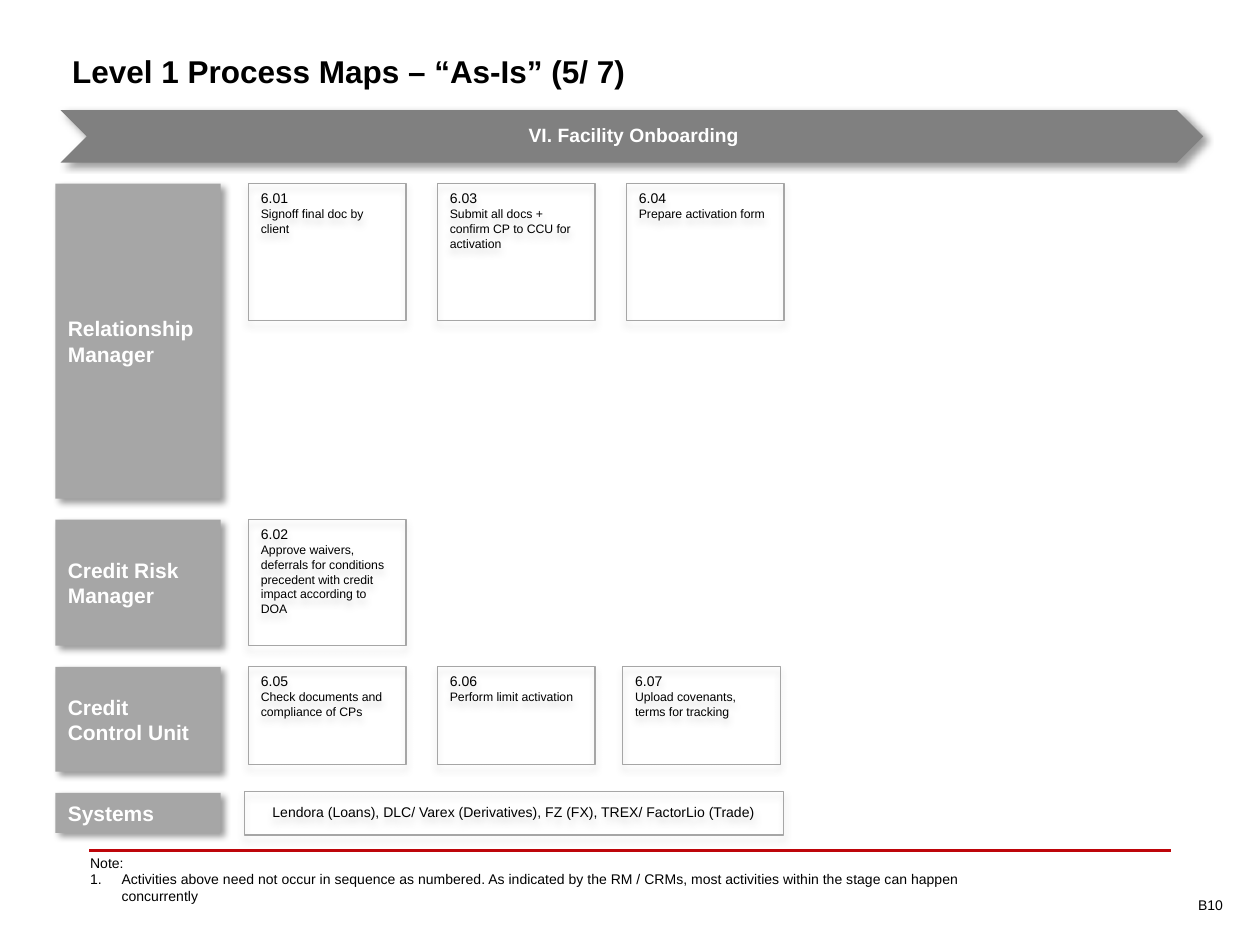
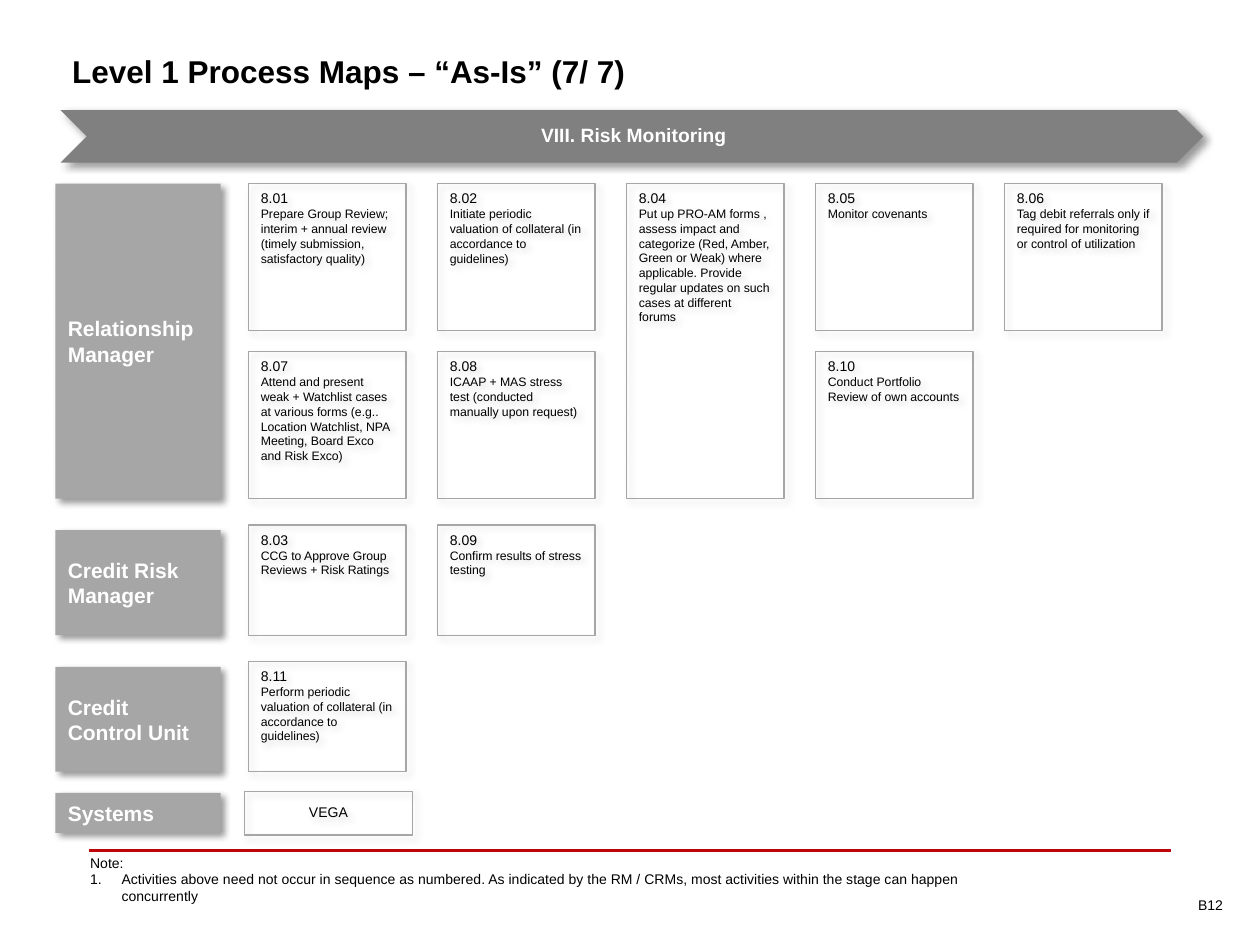
from lxml.etree import SubElement
from pptx import Presentation
from pptx.dml.color import RGBColor
from pptx.enum.shapes import MSO_CONNECTOR, MSO_SHAPE
from pptx.enum.text import MSO_ANCHOR, MSO_AUTO_SIZE, PP_ALIGN
from pptx.oxml.ns import qn
from pptx.util import Pt

BLACK = RGBColor(0, 0, 0)
WHITE = RGBColor(255, 255, 255)
RED = RGBColor(0xBE, 0x05, 0x0A)
BAND_GREY = RGBColor(0x80, 0x80, 0x80)
LANE_GREY = RGBColor(0xA6, 0xA6, 0xA6)
FONT = "Arial"

# Lane geometry in points
LANE_LEFT, LABEL_WIDTH = 31.7, 94.5
CARD_LEFT, CARD_WIDTH, CARD_PITCH, ROW_GAP = 142, 90, 108, 12
SYSTEMS_BOX = (139.7, 452.2)
SYSTEMS_HEIGHT = 25

NOTE = ("Activities above need not occur in sequence as numbered. As indicated by the RM / CRMs, "
        "most activities within the stage can happen concurrently")

# Lane: label, label top and height, card top and height, cards.
# Card: column, row, rows spanned, number, activity.
ONBOARDING_LANES = [
    ("Relationship Manager", 105, 180, 105, 78, [
        (0, 0, 1, "6.01", "Signoff final doc by client"),
        (1, 0, 1, "6.03", "Submit all docs + confirm CP to CCU for activation"),
        (2, 0, 1, "6.04", "Prepare activation form")]),
    ("Credit Risk Manager", 297, 72, 297, 72, [
        (0, 0, 1, "6.02", "Approve waivers, deferrals for conditions precedent with credit "
                          "impact according to DOA")]),
    ("Credit Control Unit", 381, 60, 381, 56, [
        (0, 0, 1, "6.05", "Check documents and compliance of CPs"),
        (1, 0, 1, "6.06", "Perform limit activation"),
        (1.98, 0, 1, "6.07", "Upload covenants, terms for tracking")]),
]
MONITORING_LANES = [
    ("Relationship Manager", 105, 180, 105, 84, [
        (0, 0, 1, "8.01", "Prepare Group Review; interim + annual review (timely submission, "
                          "satisfactory quality)"),
        (1, 0, 1, "8.02", "Initiate periodic valuation of collateral (in accordance to guidelines)"),
        (2, 0, 2, "8.04", "Put up PRO-AM forms , assess impact and categorize (Red, Amber, Green or "
                          "Weak) where applicable. Provide regular updates on such cases at "
                          "different forums"),
        (3, 0, 1, "8.05", "Monitor covenants"),
        (4, 0, 1, "8.06", "Tag debit referrals only if required for monitoring or control of "
                          "utilization"),
        (0, 1, 1, "8.07", "Attend and present weak + Watchlist cases at various forms (e.g.. "
                          "Location Watchlist, NPA Meeting, Board Exco and Risk Exco)"),
        (1, 1, 1, "8.08", "ICAAP + MAS stress test (conducted manually upon request)"),
        (3, 1, 1, "8.10", "Conduct Portfolio Review of own accounts")]),
    ("Credit Risk Manager", 303, 60, 300, 63, [
        (0, 0, 1, "8.03", "CCG to Approve Group Reviews + Risk Ratings"),
        (1, 0, 1, "8.09", "Confirm results of stress testing")]),
    ("Credit Control Unit", 381, 60, 378, 63, [
        (0, 0, 1, "8.11", "Perform periodic valuation of collateral (in accordance to guidelines)")]),
]


def write(tf, text, size=8, color=BLACK, bold=False, align=PP_ALIGN.LEFT, spacing=None,
          numbered=False):
    """Fill the empty first paragraph of a frame, or add one after it."""
    p = tf.paragraphs[0] if not tf.text else tf.add_paragraph()
    p.alignment = align
    if spacing:
        p.line_spacing = spacing
    if numbered:
        pPr = p._p.get_or_add_pPr()
        pPr.set("marL", str(Pt(18)))
        pPr.set("indent", str(-Pt(18)))
        SubElement(pPr, qn("a:buFont"), typeface="+mj-lt")
        SubElement(pPr, qn("a:buAutoNum"), type="arabicPeriod")
    r = p.add_run()
    r.text = text
    r.font.name, r.font.size, r.font.bold = FONT, Pt(size), bold
    r.font.color.rgb = color


def set_frame(tf, anchor=MSO_ANCHOR.TOP, insets=(7.2, 3.6, 7.2, 3.6)):
    tf.word_wrap = True
    tf.vertical_anchor = anchor
    tf.margin_left, tf.margin_top, tf.margin_right, tf.margin_bottom = map(Pt, insets)
    return tf


def add_text_box(slide, box, **frame):
    return set_frame(slide.shapes.add_textbox(*map(Pt, box)).text_frame, **frame)


def add_shadowed(slide, kind, box, shadow, angle=45, fill=None, line=None):
    s = slide.shapes.add_shape(kind, *map(Pt, box))
    if fill is None:
        s.fill.background()
    else:
        s.fill.solid()
        s.fill.fore_color.rgb = fill
    if line is None:
        s.line.fill.background()
    else:
        s.line.color.rgb = line
        s.line.width = Pt(0.75)
    s.shadow.inherit = False
    effects = s.element.spPr.find(qn("a:effectLst"))
    outer = SubElement(effects, qn("a:outerShdw"), blurRad=str(Pt(4)), dist=str(Pt(3)),
                       dir=str(angle * 60000), algn="tl", rotWithShape="0")
    color = SubElement(outer, qn("a:srgbClr"), val=str(shadow))
    SubElement(color, qn("a:alpha"), val="40000")
    return s


def add_outlined(slide, box, angle, **frame):
    s = add_shadowed(slide, MSO_SHAPE.RECTANGLE, box, LANE_GREY, angle, line=LANE_GREY)
    return set_frame(s.text_frame, **frame)


def add_title(slide, text):
    s = slide.shapes.title
    s.left, s.top, s.width, s.height = map(Pt, (34, 17, 653, 47))
    tf = set_frame(s.text_frame, MSO_ANCHOR.MIDDLE)
    tf.auto_size = MSO_AUTO_SIZE.NONE
    write(tf, text, size=18, bold=True)


def add_stage_band(slide, box, text):
    left, top, width, height = box
    add_shadowed(slide, MSO_SHAPE.CHEVRON, box, BLACK, fill=BAND_GREY)
    tf = add_text_box(slide, (left + 15, top, width - 30, height), anchor=MSO_ANCHOR.MIDDLE,
                      insets=(3.6, 1.4, 1.4, 1.4))
    write(tf, text, size=11, color=WHITE, bold=True, align=PP_ALIGN.CENTER, spacing=0.9)


def add_lane_label(slide, top, height, text):
    s = add_shadowed(slide, MSO_SHAPE.RECTANGLE, (LANE_LEFT, top, LABEL_WIDTH, height), BLACK,
                     fill=LANE_GREY)
    write(set_frame(s.text_frame, MSO_ANCHOR.MIDDLE), text, size=12, color=WHITE, bold=True)


def add_lane(slide, angle, label, top, height, card_top, card_height, cards):
    for column, row, span, number, activity in cards:
        pitch = card_height + ROW_GAP
        tf = add_outlined(slide, (CARD_LEFT + column * CARD_PITCH, card_top + row * pitch,
                                  CARD_WIDTH, span * pitch - ROW_GAP), angle)
        write(tf, number)
        write(tf, activity, size=7)
    add_lane_label(slide, top, height, label)


def add_systems(slide, angle, width, text):
    tf = add_outlined(slide, (*SYSTEMS_BOX, width, SYSTEMS_HEIGHT), angle,
                      anchor=MSO_ANCHOR.MIDDLE, insets=(7.2, 2.2, 7.2, 3.6))
    write(tf, text, align=PP_ALIGN.CENTER)
    add_lane_label(slide, 453, 23, "Systems")


def add_footer(slide, page):
    rule = slide.shapes.add_connector(MSO_CONNECTOR.STRAIGHT, Pt(51), Pt(486), Pt(669), Pt(486))
    rule.line.color.rgb = RED
    rule.line.width = Pt(1.5)
    SubElement(rule.element.spPr, qn("a:effectLst"))
    tf = add_text_box(slide, (44.4, 484.5, 538, 36))
    write(tf, "Note:")
    write(tf, NOTE, numbered=True)
    write(add_text_box(slide, (622, 502, 84, 30), anchor=MSO_ANCHOR.MIDDLE), page,
          align=PP_ALIGN.RIGHT)


def add_process_map(prs, part, stage, lanes, systems, systems_width, page, angle):
    slide = prs.slides.add_slide(prs.slide_layouts[5])
    add_title(slide, f"Level 1 Process Maps – “As-Is” ({part}/ 7)")
    add_footer(slide, page)
    add_stage_band(slide, (34.6, 63, 653, 30), stage)
    for lane in lanes:
        add_lane(slide, angle, *lane)
    add_systems(slide, angle, systems_width, systems)


def main():
    prs = Presentation()
    prs.slide_width, prs.slide_height = Pt(720), Pt(540)
    add_process_map(prs, 5, "VI. Facility Onboarding", ONBOARDING_LANES,
                    "Lendora (Loans), DLC/ Varex (Derivatives), FZ (FX), TREX/ FactorLio (Trade)",
                    308, "B10", angle=90)
    add_process_map(prs, 7, "VIII. Risk Monitoring", MONITORING_LANES, "VEGA", 96, "B12", angle=45)
    prs.save("out.pptx")


if __name__ == "__main__":
    main()
